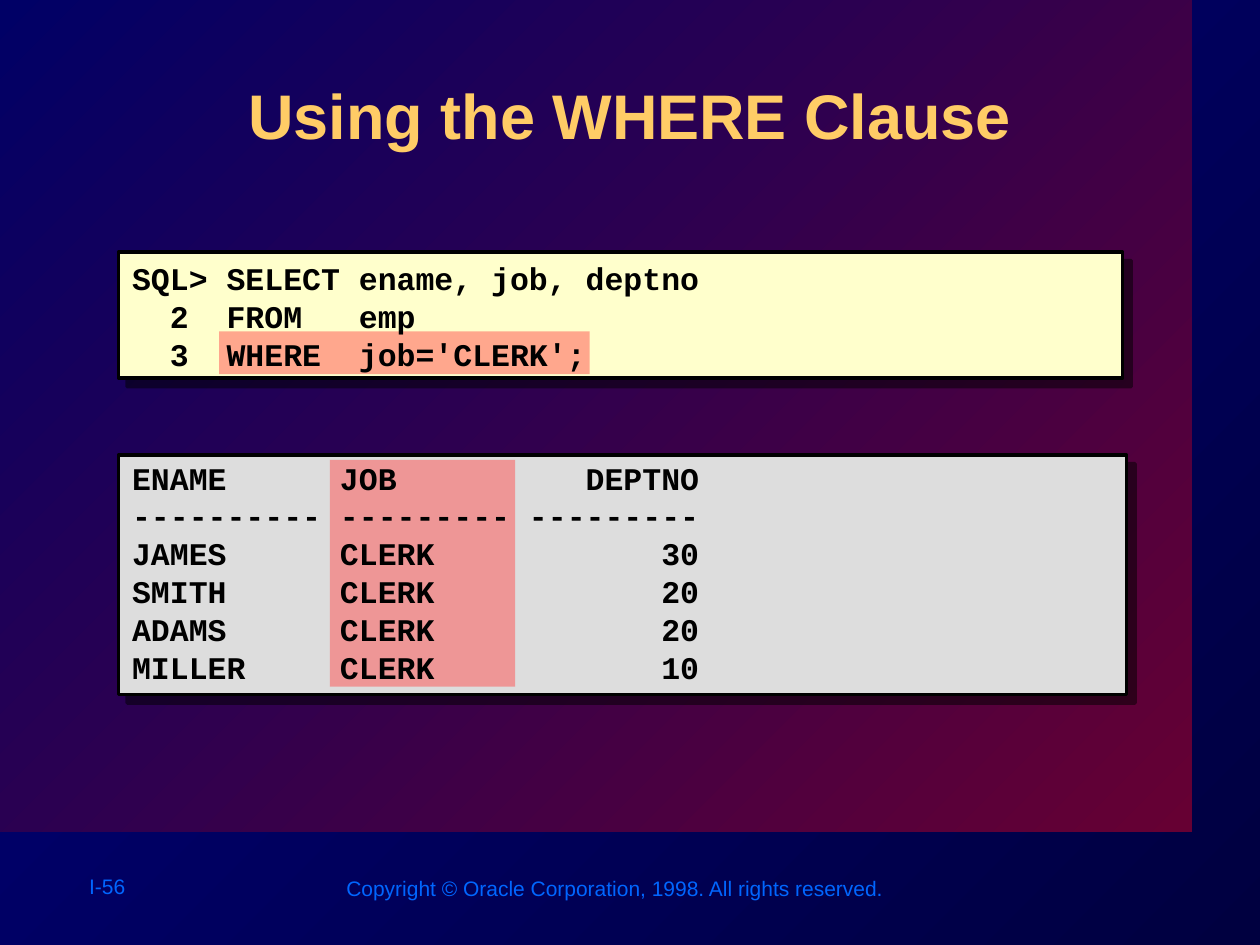
from dataclasses import dataclass

from lxml.etree import SubElement
from pptx import Presentation
from pptx.dml.color import RGBColor
from pptx.dml.fill import FillFormat
from pptx.enum.shapes import MSO_SHAPE
from pptx.enum.text import MSO_ANCHOR, PP_ALIGN
from pptx.oxml.ns import qn
from pptx.slide import Slide
from pptx.util import Pt

COLORS = {
    "night_start": "000080",
    "night_end": "000040",
    "panel_start": "000066",
    "panel_end": "660033",
    "footer": "0066FF",
    "title": "FFCC66",
    "query": "FFFFCC",
    "result": "DDDDDD",
    "highlight": "FF5050",
    "ink": "000000",
}


@dataclass
class Area:
    left: float
    top: float
    width: float
    height: float

    def in_points(self) -> tuple:
        return Pt(self.left), Pt(self.top), Pt(self.width), Pt(self.height)


@dataclass
class Label:
    area: Area
    lines: list[str]
    size: float
    color: str
    font: str = "Arial"
    bold: bool = False
    align: PP_ALIGN = PP_ALIGN.LEFT
    anchor: MSO_ANCHOR = MSO_ANCHOR.TOP
    shadow: bool = False


def rgb(name: str) -> RGBColor:
    return RGBColor.from_string(COLORS[name])


def fill_diagonal(fill: FillFormat, start: str, end: str) -> None:
    """Blend two colours from the top left to the bottom right."""
    fill.gradient()
    fill.gradient_angle = 315
    for stop, name in zip(fill.gradient_stops, (start, end)):
        stop.color.rgb = rgb(name)


def add_shadow(effects, distance: float) -> None:
    """Put a half-transparent shadow at 45 degrees in an effect list."""
    shadow = SubElement(effects, qn("a:outerShdw"), blurRad="0",
                        dist=str(Pt(distance)), dir="2700000",
                        algn="ctr", rotWithShape="0")
    ink = SubElement(shadow, qn("a:srgbClr"), val=COLORS["ink"])
    SubElement(ink, qn("a:alpha"), val="50000")


def add_rectangle(slide: Slide, area: Area):
    rectangle = slide.shapes.add_shape(MSO_SHAPE.RECTANGLE, *area.in_points())
    rectangle.shadow.inherit = False
    rectangle.line.fill.background()
    return rectangle


def add_code_frame(slide: Slide, area: Area, color: str) -> None:
    frame = add_rectangle(slide, area)
    frame.fill.solid()
    frame.fill.fore_color.rgb = rgb(color)
    frame.line.color.rgb = rgb("ink")
    frame.line.width = Pt(2)
    add_shadow(frame._element.spPr.find(qn("a:effectLst")), 7.1)


def add_highlight(slide: Slide, area: Area) -> None:
    highlight = add_rectangle(slide, area)
    highlight.fill.solid()
    highlight.fill.fore_color.rgb = rgb("highlight")
    tint = highlight._element.spPr.find(f"{qn('a:solidFill')}/{qn('a:srgbClr')}")
    SubElement(tint, qn("a:alpha"), val="50000")


def add_label(slide: Slide, label: Label) -> None:
    text_frame = slide.shapes.add_textbox(*label.area.in_points()).text_frame
    text_frame.word_wrap = True
    text_frame.vertical_anchor = label.anchor
    for index, line in enumerate(label.lines):
        paragraph = text_frame.add_paragraph() if index else text_frame.paragraphs[0]
        paragraph.alignment = label.align
        run = paragraph.add_run()
        run.text = line
        run.font.size = Pt(label.size)
        run.font.bold = label.bold
        run.font.color.rgb = rgb(label.color)
        if label.shadow:
            # The effect list sits between the fill and the typeface
            add_shadow(SubElement(run.font._element, qn("a:effectLst")), 3)
        run.font.name = label.font


QUERY = [
    "SQL> SELECT ename, job, deptno",
    "  2  FROM   emp",
    "  3  WHERE  job='CLERK';",
]
EMPLOYEES = [("JAMES", 30), ("SMITH", 20), ("ADAMS", 20), ("MILLER", 10)]
RESULT = [
    f"{'ENAME':<10} {'JOB':<9} {'DEPTNO':>9}",
    f"{'-' * 10} {'-' * 9} {'-' * 9}",
    *(f"{name:<10} {'CLERK':<9} {deptno:>9}" for name, deptno in EMPLOYEES),
]

LABELS = [
    Label(Area(43.9, 495.4, 76.3, 21.6), ["I-56"], 12, "footer"),
    Label(Area(190.8, 496.8, 326, 21.6),
          ["Copyright © Oracle Corporation, 1998. All rights reserved."],
          12, "footer"),
    Label(Area(72.7, 40.3, 574.6, 69.1), ["Using the WHERE Clause"], 36, "title",
          bold=True, align=PP_ALIGN.CENTER, shadow=True),
    Label(Area(68.4, 143.3, 576, 74.2), QUERY, 18, "ink", "Courier New",
          bold=True, anchor=MSO_ANCHOR.MIDDLE),
    Label(Area(68.4, 258.5, 578.2, 136.8), RESULT, 18, "ink", "Courier New",
          bold=True),
]


def main() -> None:
    presentation = Presentation()
    presentation.slide_width, presentation.slide_height = Pt(720), Pt(540)
    slide = presentation.slides.add_slide(presentation.slide_layouts[6])

    # Background and main panel
    fill_diagonal(slide.background.fill, "night_start", "night_end")
    panel = add_rectangle(slide, Area(0, 0, 681.1, 475.2))
    fill_diagonal(panel.fill, "panel_start", "panel_end")

    # Query and result frames
    add_code_frame(slide, Area(67.7, 144, 573.8, 72), "query")
    add_code_frame(slide, Area(67.7, 260, 576, 136.8), "result")

    # Highlights on the WHERE clause and the JOB column
    add_highlight(slide, Area(125.3, 189.4, 211.7, 24.5))
    add_highlight(slide, Area(188.6, 262.8, 105.8, 129.6))

    # Title, code and footer
    for label in LABELS:
        add_label(slide, label)

    presentation.save("out.pptx")


if __name__ == "__main__":
    main()
